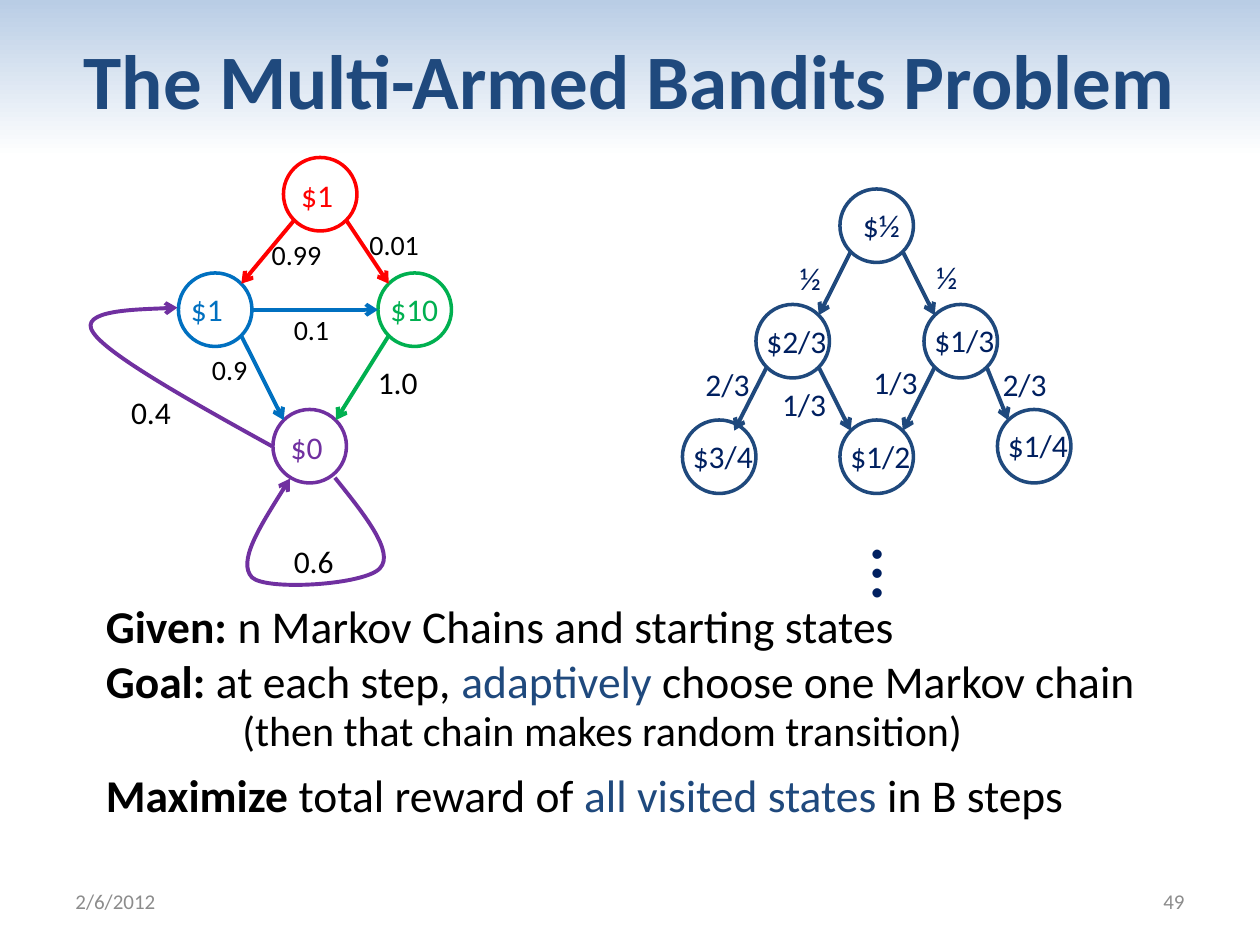
from lxml import etree
from pptx import Presentation, util as u
from pptx.dml.color import RGBColor
from pptx.enum import shapes, text
from pptx.oxml.ns import qn

COLORS = {"navy": "1F497D", "ink": "002060", "red": "FF0000", "blue": "0070C0",
          "green": "00B050", "purple": "7030A0", "black": "000000",
          "gray": "8C8C8C", "sky": "B9CDE5", "white": "FFFFFF"}
COLUMNS, ROWS = 120, 90
CELL = u.Inches(10) // COLUMNS
NODE = 7
GLYPHS = {"/": 0.39, ".": 0.25, "½": 0.92}
SITES = {"w": (-1, 0), "e": (1, 0), "nw": (-0.71, -0.71), "ne": (0.71, -0.71),
         "sw": (-0.71, 0.71), "se": (0.71, 0.71), "nne": (0.41, -0.71)}

REWARD_CHAIN = {
    "nodes": {"start": (20, 0, "red", "$1", 0.5, 1.2),
              "one": (10, 11, "blue", "$1", 0, 1),
              "ten": (29, 11, "green", "$10", 0, 1),
              "zero": (19, 24, "purple", "$0", 0.5, 1.2)},
    "edges": [("start", "sw", "one", "ne"), ("start", "se", "ten", "nw"),
              ("one", "e", "ten", "w"), ("one", "se", "zero", "nw"),
              ("ten", "sw", "zero", "ne")],
    "curves": [[(18.9, 27.5), (11.1, 23.2), (3.3, 18.8), (1.9, 16.7),
                (0.3, 14.5), (8.6, 14.4), (9.9, 14.3)],
               [(24.9, 30.5), (27.7, 34), (30.6, 37.6), (29.2, 39.1), (27.9, 40.7),
                (18.4, 41.3), (17, 40), (15.6, 38.5), (18.1, 34.6), (20.6, 30.6)]],
    "odds": [("0.99", 17.7, 7, 16), ("0.01", 27, 6.1, 16), ("0.1", 19.8, 14.2, 16),
             ("0.9", 12, 18, 16), ("0.4", 4.3, 21.8, 18), ("0.6", 19.8, 36, 18),
             ("1.0", 27.8, 19, 18)],
}
BELIEF_CHAIN = {
    "nodes": {"root": (15, 0, "navy", "$½", 1, 1),
              "left": (7, 11, "navy", "$2/3", -0.2, 1.1),
              "right": (23, 11, "navy", "$1/3", -0.2, 1),
              "low left": (0, 22, "navy", "$3/4", -0.2, 1),
              "low middle": (15, 22, "navy", "$1/2", -0.2, 1),
              "low right": (30, 21, "navy", "$1/4", -0.2, 1)},
    "edges": [("root", "sw", "left", "ne"), ("root", "se", "right", "nw"),
              ("left", "sw", "low left", "nne"), ("left", "se", "low middle", "nw"),
              ("right", "sw", "low middle", "ne"), ("right", "se", "low right", "nw")],
    "curves": [],
    "odds": [("½", 10, 6.1, 18), ("½", 23, 6, 18), ("2/3", 1, 16.2, 18),
             ("1/3", 8.3, 18.1, 18), ("1/3", 17, 16, 18), ("2/3", 29.3, 16.2, 18)],
}


def rgb(name):
    """Return the named colour."""
    return RGBColor.from_string(COLORS[name])


def cells(*counts):
    """Turn counts of grid cells into lengths."""
    return [u.Emu(round(count * CELL)) for count in counts]


def fill_frame(frame, paragraphs, size=18, color="black", align="LEFT",
               anchor="TOP", wrap=False, grow=True):
    """Write paragraphs of (words, bold, colour) spans into a text frame."""
    frame.word_wrap = wrap
    frame.vertical_anchor = text.MSO_ANCHOR[anchor]
    if grow:
        frame.auto_size = text.MSO_AUTO_SIZE.SHAPE_TO_FIT_TEXT
    for index, spans in enumerate(paragraphs):
        para = frame.add_paragraph() if index else frame.paragraphs[0]
        para.alignment = text.PP_ALIGN[align]
        for words, bold, tint in spans:
            span = para.add_run()
            span.text = words
            span.font.name, span.font.size = "Calibri", u.Pt(size)
            span.font.bold = bold
            span.font.color.rgb = rgb(tint or color)


def add_text(page, box, paragraphs, rotation=0, **style):
    """Place a text box on the grid."""
    if isinstance(paragraphs, str):
        paragraphs = [[(paragraphs, False, None)]]
    label = page.shapes.add_textbox(*cells(*box))
    label.rotation = rotation
    fill_frame(label.text_frame, paragraphs, **style)


def add_label(page, left, top, words, size=18, color="black"):
    """Place a short label in a box fitted to its words."""
    ems = sum(GLYPHS.get(letter, 0.51) for letter in words)
    box = left, top, 2.4 + ems * size / 6, 1.2 + 1.2 * size / 6
    add_text(page, box, words, size=size, color=color)


def finish_arrow(shape, color):
    """Style a line and give its end an open arrowhead."""
    shape.line.color.rgb = rgb(color)
    shape.line.width = u.Pt(2.25)
    properties = shape.element.spPr
    etree.SubElement(properties.find(qn("a:ln")), qn("a:tailEnd"), type="arrow")
    etree.SubElement(properties, qn("a:effectLst"))


def add_curve(page, points, color):
    """Draw a Bézier arrow from a start and triples of control points."""
    start, *rest = [cells(*point) for point in points]
    builder = page.shapes.build_freeform(*start, scale=1.0)
    builder.add_line_segments(rest, close=False)
    curve = builder.convert_to_shape()
    curve.fill.background()
    lines = list(curve.element.spPr.iter(qn("a:lnTo")))
    outline = lines[0].getparent()
    for first in range(0, len(lines), 3):
        bend = etree.SubElement(outline, qn("a:cubicBezTo"))
        for line in lines[first:first + 3]:
            bend.append(line[0])
            outline.remove(line)
    finish_arrow(curve, color)


def add_chain(page, box, chain, odds_color, state_color=None):
    """Draw a Markov chain from the top left corner of its box."""
    left, top = box[:2]
    nodes = chain["nodes"]

    def site(name, side):
        """Find a point on the rim of a state."""
        return [origin + nodes[name][axis] + NODE / 2 * (1 + SITES[side][axis])
                for axis, origin in enumerate((left, top))]

    for column, row, color, *_ in nodes.values():
        state = page.shapes.add_shape(shapes.MSO_SHAPE.OVAL,
                                      *cells(left + column, top + row, NODE, NODE))
        state.shadow.inherit = False
        state.fill.background()
        state.line.color.rgb = rgb(color)
        state.line.width = u.Pt(2)
    for source, exit_side, target, entry_side in chain["edges"]:
        ends = site(source, exit_side) + site(target, entry_side)
        arrow = page.shapes.add_connector(shapes.MSO_CONNECTOR.STRAIGHT, *cells(*ends))
        finish_arrow(arrow, nodes[source][2])
    for points in chain["curves"]:
        add_curve(page, [(left + x, top + y) for x, y in points], "purple")
    for words, column, row, size in chain["odds"]:
        add_label(page, left + column, top + row, words, size, odds_color)
    for column, row, color, words, shift, drop in nodes.values():
        add_label(page, left + column + shift, top + row + drop, words,
                  color=state_color or color)


def add_title(page, box):
    """Draw the shaded title band."""
    band = page.shapes.add_shape(shapes.MSO_SHAPE.RECTANGLE, *cells(*box))
    band.shadow.inherit = False
    band.line.fill.background()
    band.fill.gradient()
    band.fill.gradient_angle = 270
    for stop, name in zip(band.fill.gradient_stops, ("sky", "white")):
        stop.color.rgb = rgb(name)
    fill_frame(band.text_frame, [[("The Multi-Armed Bandits Problem", True, None)]],
               size=44, color="navy", align="CENTER", anchor="MIDDLE",
               wrap=True, grow=False)


def add_statement(page, box):
    """Write the problem statement."""
    left, top, width, height = box
    add_text(page, (left, top, width, 11.8), [
        [("Given: ", True, None), ("n Markov Chains and starting states", False, None)],
        [("Goal:", True, None), (" at each step, ", False, None),
         ("adaptively ", False, "navy"), ("choose one Markov chain", False, None)],
    ], size=26, wrap=True)
    add_text(page, (left + 13, top + 10.1, 71.6, 6),
             "(then that chain makes random transition)", size=24)
    add_text(page, (left, top + height - 6.5, 95, 6.5), [
        [("Maximize ", True, None), ("total reward of ", False, None),
         ("all visited states ", False, "navy"), ("in B steps", False, None)],
    ], size=26)


def add_footer(page, box):
    """Write the date and the slide number at the two ends of the footer."""
    left, top, width, height = box
    column = 28
    style = {"size": 12, "color": "gray", "anchor": "MIDDLE", "wrap": True, "grow": False}
    add_text(page, (left, top, column, height), "2/6/2012", **style)
    add_text(page, (left + width - column, top, column, height), "49",
             align="RIGHT", **style)


def main():
    """Build the slide."""
    deck = Presentation()
    deck.slide_width, deck.slide_height = cells(COLUMNS, ROWS)
    page = deck.slides.add_slide(deck.slide_layouts[6])
    add_title(page, (0, 0, COLUMNS, 15))
    add_chain(page, (7, 15, 36, 42), REWARD_CHAIN, "black")
    add_chain(page, (65, 18, 37, 29), BELIEF_CHAIN, "ink", "ink")
    add_text(page, (81.5, 50.5, 9.2, 10.1), "…", rotation=90, size=44, color="ink")
    add_statement(page, (8.9, 56.4, 106, 22.6))
    add_footer(page, (6, 83.4, 108, 4.8))
    deck.save("out.pptx")


if __name__ == "__main__":
    main()
